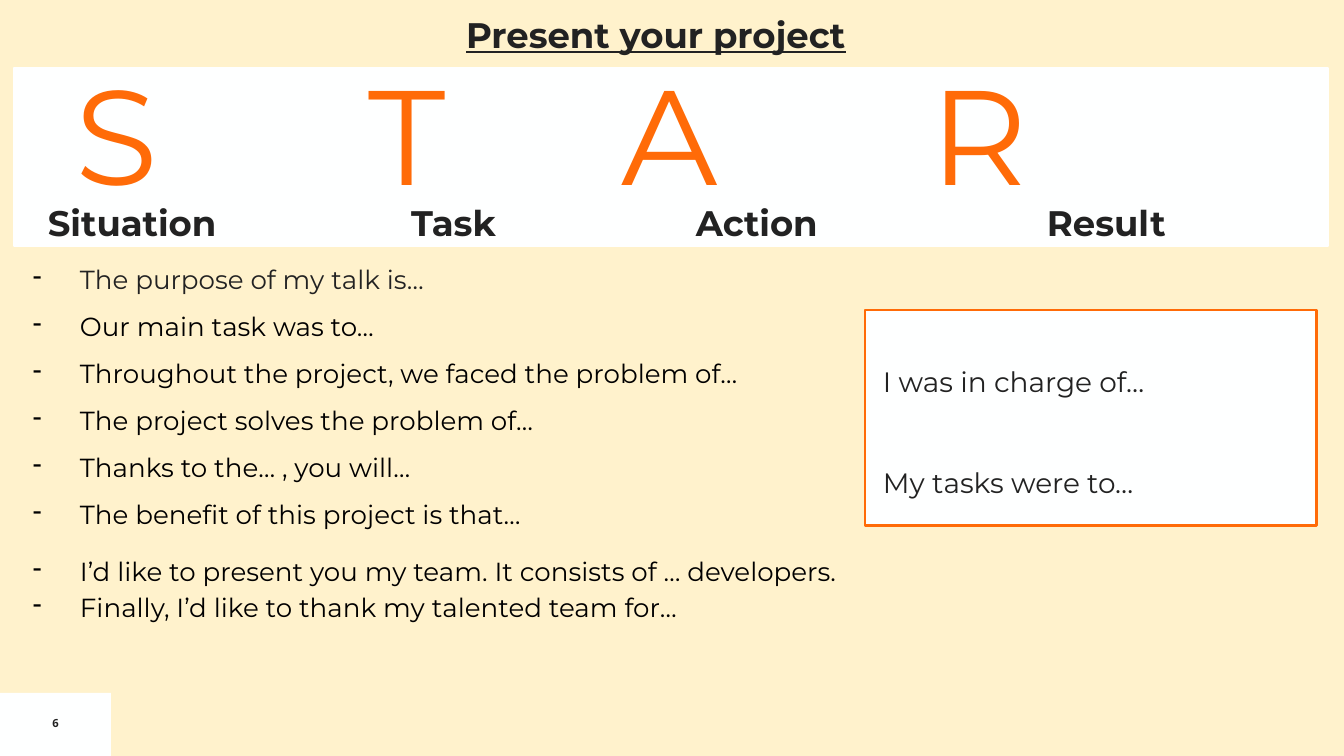
"""Build the STAR slide for presenting a project."""
from lxml import etree
from pptx import Presentation
from pptx.dml.color import RGBColor
from pptx.enum.shapes import MSO_SHAPE
from pptx.enum.text import MSO_ANCHOR, PP_ALIGN
from pptx.oxml.ns import qn
from pptx.util import Pt

RECTANGLE = MSO_SHAPE.RECTANGLE
TOP, MIDDLE = MSO_ANCHOR.TOP, MSO_ANCHOR.MIDDLE
LEFT, CENTER = PP_ALIGN.LEFT, PP_ALIGN.CENTER
SCALE = 9144000 / 1344
COLORS = {"cream": "FFF2CC", "white": "FEFFFF", "ink": "222222",
          "black": "000000", "orange": "FF6B08"}
FONT = "Montserrat"

TITLE = "Present your project"
STAR = [("S", 76, "Situation", 35, 207), ("T", 368, "Task", 398, 128),
        ("A", 622, "Action", 683, 167), ("R", 930, "Result", 1034, 150)]
PHRASES = [
    ("The purpose of my talk is…", "ink", 1.5, 0),
    ("Our main task was to…", "black", 1.5, 0),
    ("Throughout the project, we faced the problem of…", "black", 1.5, 0),
    ("The project solves the problem of…", "black", 1.5, 0),
    ("Thanks to the… , you will…", "black", 1.5, 0),
    ("The benefit of this project is that…", "black", 1.5, 0),
    ("I’d like to present you my team. It consists of … developers.", "black", 1.5, 5),
    ("Finally, I’d like to thank my talented team for…", "black", 1.15, 0),
]
ROLE = [("I was in charge of…", 0), ("My tasks were to…", 27)]
PAGE = "6"


def px(length):
    return round(length * SCALE)


def color(name):
    return RGBColor.from_string(COLORS[name])


def add_panel(slide, box, fill, line=None, width=0.75):
    panel = slide.shapes.add_shape(RECTANGLE, *map(px, box))
    panel.shadow.inherit = False
    panel.fill.solid()
    panel.fill.fore_color.rgb = color(fill)
    if line:
        panel.line.color.rgb = color(line)
        panel.line.width = Pt(width)
    else:
        panel.line.fill.background()


def set_frame(shape, margin=13, anchor=TOP):
    frame = shape.text_frame
    frame.word_wrap = True
    frame.vertical_anchor = anchor
    frame.margin_left = frame.margin_right = px(margin)
    frame.margin_top = frame.margin_bottom = px(margin)
    return frame


def add_frame(slide, box, **options):
    return set_frame(slide.shapes.add_textbox(*map(px, box)), **options)


def write(paragraph, text, size, tint="ink", bold=False, font=FONT, align=LEFT):
    paragraph.alignment = align
    run = paragraph.add_run()
    run.text = text
    run.font.size, run.font.name, run.font.bold = Pt(size), font, bold
    run.font.color.rgb = color(tint)
    return run


def next_paragraph(frame, index, spacing, before):
    paragraph = frame.add_paragraph() if index else frame.paragraphs[0]
    paragraph.line_spacing = spacing
    paragraph.space_before = Pt(before)
    return paragraph


def add_dash(paragraph):
    properties = paragraph._p.get_or_add_pPr()
    properties.set("marL", str(px(67)))
    properties.set("indent", str(px(-47)))
    tint = etree.SubElement(properties, qn("a:buClr"))
    etree.SubElement(tint, qn("a:srgbClr"), val=COLORS["black"])
    etree.SubElement(properties, qn("a:buChar"), char="-")


def add_tabs(paragraph, stops):
    tabs = etree.SubElement(paragraph._p.get_or_add_pPr(), qn("a:tabLst"))
    for stop in stops:
        etree.SubElement(tabs, qn("a:tab"), pos=str(px(stop)), algn="l")


def main():
    deck = Presentation()
    deck.slide_width, deck.slide_height = px(1344), px(756)
    slide = deck.slides.add_slide(deck.slide_layouts[5])
    slide.background.fill.solid()
    slide.background.fill.fore_color.rgb = color("cream")

    add_panel(slide, (0, 693, 111, 63), "white")
    page = add_frame(slide, (0, 703, 111, 40), margin=5, anchor=MIDDLE)
    write(page.paragraphs[0], PAGE, 6, bold=True, font="Open Sans", align=CENTER)

    title = slide.shapes.title
    title.left, title.top, title.width, title.height = map(px, (453, 0, 427, 70))
    heading = write(set_frame(title).paragraphs[0], TITLE, 19, bold=True)
    heading.font.underline = True

    add_panel(slide, (14, 68, 1314, 178), "white", "white")
    initials = add_frame(slide, (27, 38, 1289, 190)).paragraphs[0]
    add_tabs(initials, [x - 40 for _, x, *_ in STAR])
    write(initials, "".join("\t" + letter for letter, *_ in STAR), 72, "orange")
    for _, _, word, left, width in STAR:
        label = add_frame(slide, (left, 188, width, 70))
        write(label.paragraphs[0], word, 19, bold=True)

    phrases = add_frame(slide, (0, 235, 1344, 417))
    for index, (text, tint, spacing, before) in enumerate(PHRASES):
        paragraph = next_paragraph(phrases, index, spacing, before)
        add_dash(paragraph)
        write(paragraph, text, 14, tint)

    add_panel(slide, (865, 310, 452, 216), "white", "orange", 1.5)
    role = add_frame(slide, (870, 335, 476, 163))
    for index, (text, before) in enumerate(ROLE):
        write(next_paragraph(role, index, 1.5, before), text, 15)

    deck.save("out.pptx")


if __name__ == "__main__":
    main()
